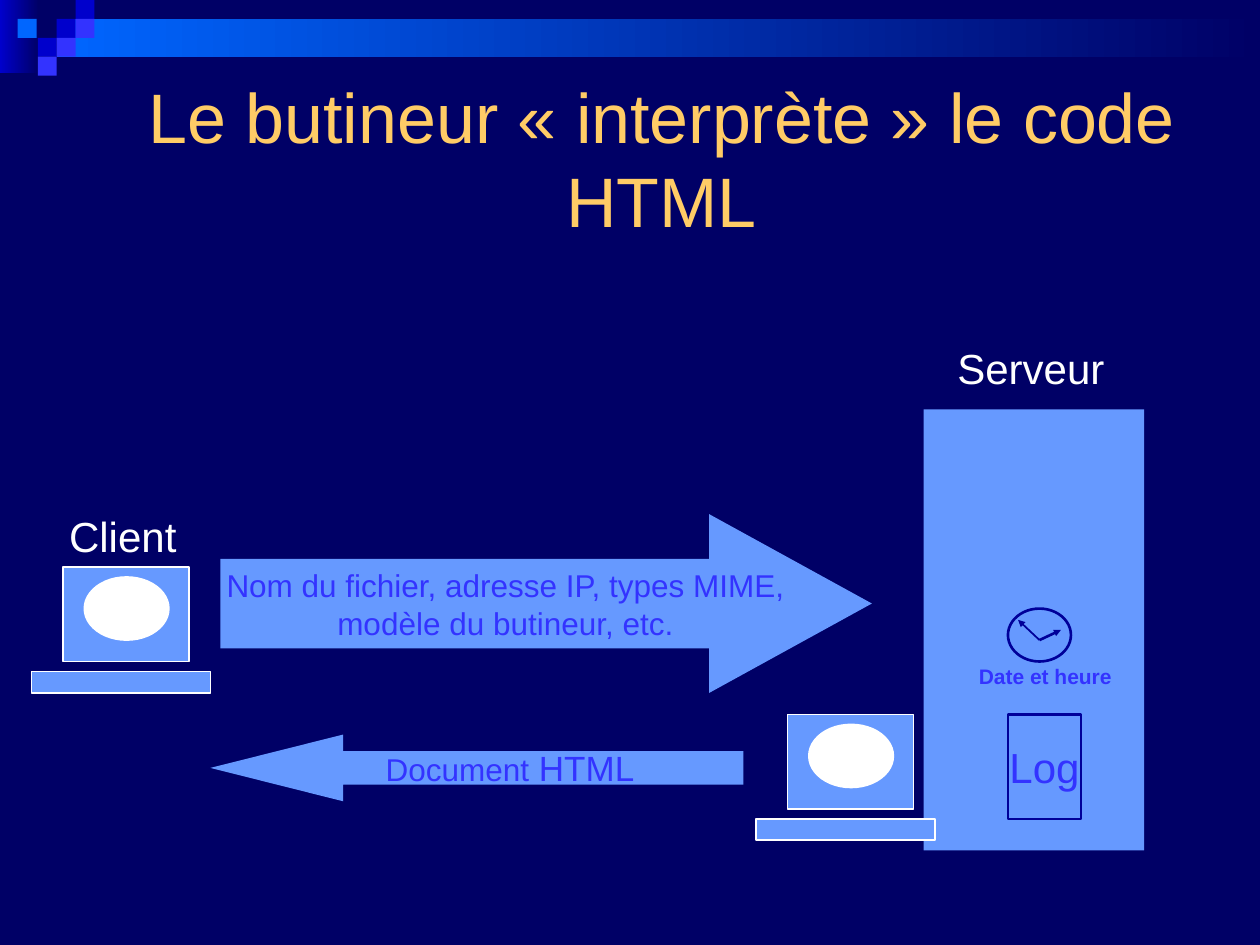
from lxml import etree
from pptx import Presentation
from pptx import util as u
from pptx.dml.color import RGBColor
from pptx.enum import shapes as sh, text as tx
from pptx.oxml.ns import qn

NIGHT, NAVY, DEEP, AZURE = "000066", "000099", "0000CC", "0066FF"
SKY, INK, WHITE, GOLD = "6699FF", "3333FF", "FFFFFF", "FFCC66"
KIND = sh.MSO_SHAPE


def color(code):
    """Turn a hex string into a colour."""
    return RGBColor.from_string(code)


def shape(slide, kind, box, fill, line=None, width=1.0, adj=()):
    """Add a preset shape with a flat fill and an optional outline."""
    item = slide.shapes.add_shape(kind, *map(u.Inches, box))
    item.shadow.inherit = False
    item.fill.solid()
    item.fill.fore_color.rgb = color(fill)
    if line:
        item.line.color.rgb = color(line)
        item.line.width = u.Pt(width)
    else:
        item.line.fill.background()
    for i, val in enumerate(adj):
        item.adjustments[i] = val
    return item


def fade(slide, box, code):
    """Add a bar that fades to the background from left to right."""
    bar = shape(slide, KIND.RECTANGLE, box, code)
    bar.fill.gradient()
    bar.fill.gradient_angle = 180
    for stop, hue, pos in zip(bar.fill.gradient_stops, (NIGHT, code), (0, 1)):
        stop.color.rgb = color(hue)
        stop.position = pos


def write(item, paras, hue, align=tx.PP_ALIGN.CENTER, wrap=False, bold=False):
    """Fill a shape with paragraphs made of (text, size) runs."""
    frame = item.text_frame
    frame.word_wrap = wrap
    frame.vertical_anchor = tx.MSO_ANCHOR.MIDDLE
    for i, runs in enumerate(paras):
        para = frame.add_paragraph() if i else frame.paragraphs[0]
        para.alignment = align
        for words, size in runs:
            run = para.add_run()
            run.text = words
            run.font.name = "Arial"
            run.font.size = u.Pt(size)
            run.font.bold = bold
            run.font.color.rgb = color(hue)


def label(slide, box, words, size, hue=WHITE, bold=False):
    """Add a one-line caption that grows with its text."""
    item = slide.shapes.add_textbox(*map(u.Inches, box))
    write(item, [[(words, size)]], hue, tx.PP_ALIGN.LEFT, bold=bold)
    item.text_frame.vertical_anchor = tx.MSO_ANCHOR.TOP
    item.text_frame.auto_size = tx.MSO_AUTO_SIZE.SHAPE_TO_FIT_TEXT


def hand(slide, start, end, width):
    """Add a clock hand with an arrowhead at its end."""
    ends = map(u.Inches, (*start, *end))
    line = slide.shapes.add_connector(sh.MSO_CONNECTOR.STRAIGHT, *ends)
    line.line.color.rgb = color(NAVY)
    line.line.width = u.Pt(width)
    tip = etree.SubElement(line.line._get_or_add_ln(), qn("a:tailEnd"))
    tip.set("type", "triangle")
    tip.set("w", "sm")
    tip.set("len", "sm")
    etree.SubElement(line._element.spPr, qn("a:effectLst"))


def computer(slide, x, y):
    """Add a computer made of a screen, a keyboard and a display."""
    shape(slide, KIND.RECTANGLE, (x + 0.25, y, 1, 0.75), SKY, WHITE)
    shape(slide, KIND.RECTANGLE, (x, y + 0.83, 1.42, 0.17), SKY, WHITE)
    shape(slide, KIND.OVAL, (x + 0.42, y + 0.08, 0.67, 0.5), WHITE, WHITE)


def banner(slide):
    """Add the fading bars and small squares at the top."""
    fade(slide, (0, 0, 0.31, 0.58), DEEP)
    fade(slide, (0.45, 0.15, 9.55, 0.3), AZURE)
    tiles = [(0.45, 0.15, DEEP), (0.6, 0, DEEP), (0.6, 0.15, INK),
             (0.3, 0.3, DEEP), (0.14, 0.15, AZURE), (0.45, 0.3, INK),
             (0.3, 0.45, INK)]
    for x, y, hue in tiles:
        shape(slide, KIND.RECTANGLE, (x, y, 0.15, 0.15), hue)


def clock(slide):
    """Add the clock with its two hands and caption."""
    shape(slide, KIND.OVAL, (8, 4.83, 0.5, 0.42), SKY, NAVY, 1.5)
    hub = (8.25, 5.08)
    hand(slide, hub, (8.42, 5), 1.5)
    hand(slide, hub, (8.08, 4.92), 1)
    label(slide, (7.67, 5.22, 1.3, 0.3), "Date et heure", 12, INK, True)


def main():
    """Build the slide and save it."""
    deck = Presentation()
    deck.slide_width, deck.slide_height = u.Inches(10), u.Inches(7.5)
    slide = deck.slides.add_slide(deck.slide_layouts[6])
    slide.background.fill.solid()
    slide.background.fill.fore_color.rgb = color(NIGHT)

    banner(slide)
    title = slide.shapes.add_textbox(*map(u.Inches, (0.5, 0.5, 9.5, 1.5)))
    write(title, [[("Le butineur «\u00a0interprète\u00a0» le code HTML", 40)]],
          GOLD, wrap=True)

    shape(slide, KIND.RECTANGLE, (7.33, 3.25, 1.75, 3.5), SKY)
    computer(slide, 6, 5.67)
    computer(slide, 0.25, 4.5)

    ask = shape(slide, KIND.RIGHT_ARROW, (1.75, 4.08, 5.17, 1.42), SKY,
                adj=(0.5, 0.91))
    write(ask, [[("Nom du fichier, adresse IP, types MIME,", 18)],
                [("modèle du butineur, etc.", 18)]], INK)
    reply = shape(slide, KIND.LEFT_ARROW, (1.67, 5.83, 4.23, 0.53), SKY,
                  adj=(0.5, 1.99))
    write(reply, [[("Document", 18), (" HTML", 20)]], INK)

    label(slide, (0.45, 4, 1.1, 0.5), "Client", 24)
    label(slide, (7.5, 2.67, 1.42, 0.5), "Serveur", 24)
    log = shape(slide, KIND.RECTANGLE, (8, 5.67, 0.58, 0.83), SKY, NAVY, 1.5)
    write(log, [[("Log", 24)]], INK)
    clock(slide)
    deck.save("out.pptx")


if __name__ == "__main__":
    main()
